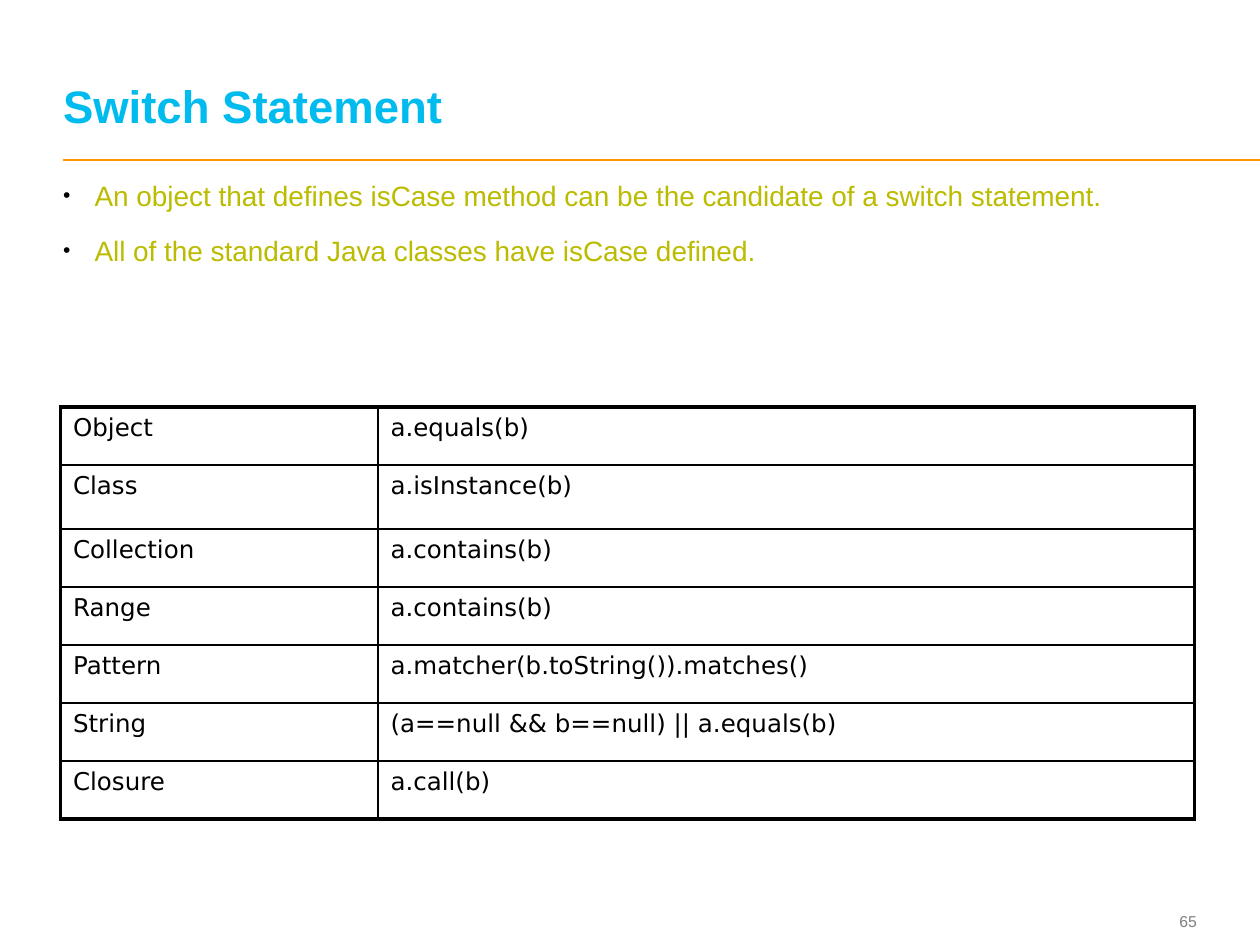
from dataclasses import dataclass

from lxml import etree
from pptx import Presentation
from pptx.dml.color import RGBColor
from pptx.enum import shapes, text
from pptx.oxml import ns
from pptx.util import Inches, Pt


@dataclass(frozen=True)
class Theme:
    title: dict
    bullet: dict
    cell: dict
    number: dict
    rule: RGBColor
    ink: RGBColor
    paper: RGBColor


INK = RGBColor(0, 0, 0)
theme = Theme(
    title={"name": "Arial", "size": Pt(26), "bold": True, "color": RGBColor(0x00, 0xBB, 0xEE)},
    bullet={"name": "Arial", "size": Pt(16), "bold": False, "color": RGBColor(0xBB, 0xBB, 0x00)},
    cell={"name": "DejaVu Sans", "size": Pt(14), "bold": False, "color": INK},
    number={"name": "Arial", "size": Pt(9), "bold": False, "color": RGBColor(0x7F, 0x7F, 0x7F)},
    rule=RGBColor(0xFF, 0x99, 0x00),
    ink=INK,
    paper=RGBColor(0xFF, 0xFF, 0xFF),
)


def write(para, words, style):
    span = para.add_run()
    span.text = words
    for key, value in style.items():
        if key == "color":
            span.font.color.rgb = value
        else:
            setattr(span.font, key, value)


def place(box, left, top, width, height, anchor):
    box.left, box.top, box.width, box.height = map(Inches, (left, top, width, height))
    frame = box.text_frame
    settings = {"margin_left": 0, "margin_top": 0, "margin_right": 0, "margin_bottom": 0,
                "word_wrap": True, "auto_size": text.MSO_AUTO_SIZE.NONE,
                "vertical_anchor": anchor}
    for key, value in settings.items():
        setattr(frame, key, value)
    return frame


deck = Presentation()
deck.slide_width, deck.slide_height = Inches(10), Inches(7.5)
page = deck.slides.add_slide(deck.slide_layouts[1])
page.background.fill.solid()
page.background.fill.fore_color.rgb = theme.paper

# Rule under the title
rule = page.shapes.add_connector(
    shapes.MSO_CONNECTOR.STRAIGHT, Inches(0.5), Inches(1.27), Inches(10), Inches(1.27))
rule.line.color.rgb = theme.rule
rule.line.width = Pt(1)
etree.SubElement(rule._element.spPr, ns.qn("a:effectLst"))

# Title
title = place(page.shapes.title, 0.5, 0.19, 8.97, 0.86, text.MSO_ANCHOR.BOTTOM)
para = title.paragraphs[0]
para.alignment = text.PP_ALIGN.LEFT
para.line_spacing = Pt(26)
write(para, "Switch Statement", theme.title)

# Bullet list
points = [
    "An object that defines isCase method can be the candidate of a switch statement.",
    "All of the standard Java classes have isCase defined.",
]
body = place(page.placeholders[1], 0.5, 1.42, 8.9, 1.64, text.MSO_ANCHOR.TOP)
for index, words in enumerate(points):
    para = body.add_paragraph() if index else body.paragraphs[0]
    props = para._p.get_or_add_pPr()
    props.set("marL", str(Inches(0.25)))
    props.set("indent", str(-Inches(0.25)))
    color = etree.SubElement(props, ns.qn("a:buClr"))
    etree.SubElement(color, ns.qn("a:srgbClr"), val=str(theme.ink))
    etree.SubElement(props, ns.qn("a:buSzPct"), val="75000")
    etree.SubElement(props, ns.qn("a:buFont"), typeface="Arial")
    etree.SubElement(props, ns.qn("a:buChar"), char="•")
    para.space_before = Pt(12 if index else 0)
    write(para, words, theme.bullet)

# Table of isCase rules, with a heavy outer frame
rules = [
    ("Object", "a.equals(b)"),
    ("Class", "a.isInstance(b)"),
    ("Collection", "a.contains(b)"),
    ("Range", "a.contains(b)"),
    ("Pattern", "a.matcher(b.toString()).matches()"),
    ("String", "(a==null && b==null) || a.equals(b)"),
    ("Closure", "a.call(b)"),
]
table = page.shapes.add_table(
    len(rules), 2, Inches(0.48), Inches(3.23), Inches(9), Inches(3.27)).table
table.first_row = table.horz_banding = False
for column, width in zip(table.columns, (2.52, 6.48)):
    column.width = Inches(width)
for row_index, entries in enumerate(rules):
    table.rows[row_index].height = Inches(0.51 if row_index == 1 else 0.46)
    for column_index, words in enumerate(entries):
        cell = table.cell(row_index, column_index)
        write(cell.text_frame.paragraphs[0], words, theme.cell)
        outer = {"lnL": column_index == 0, "lnR": column_index == 1,
                 "lnT": row_index == 0, "lnB": row_index == len(rules) - 1}
        props = cell._tc.get_or_add_tcPr()
        for side, heavy in outer.items():
            border = etree.SubElement(props, ns.qn("a:" + side), w=str(Pt(2.25 if heavy else 1)))
            fill = etree.SubElement(border, ns.qn("a:solidFill"))
            etree.SubElement(fill, ns.qn("a:srgbClr"), val=str(theme.ink))
        cell.fill.background()

# Page number
number = place(page.shapes.add_textbox(0, 0, 0, 0), 8.91, 7.18, 0.59, 0.27,
               text.MSO_ANCHOR.MIDDLE)
number.paragraphs[0].alignment = text.PP_ALIGN.RIGHT
write(number.paragraphs[0], "65", theme.number)

deck.save("out.pptx")
